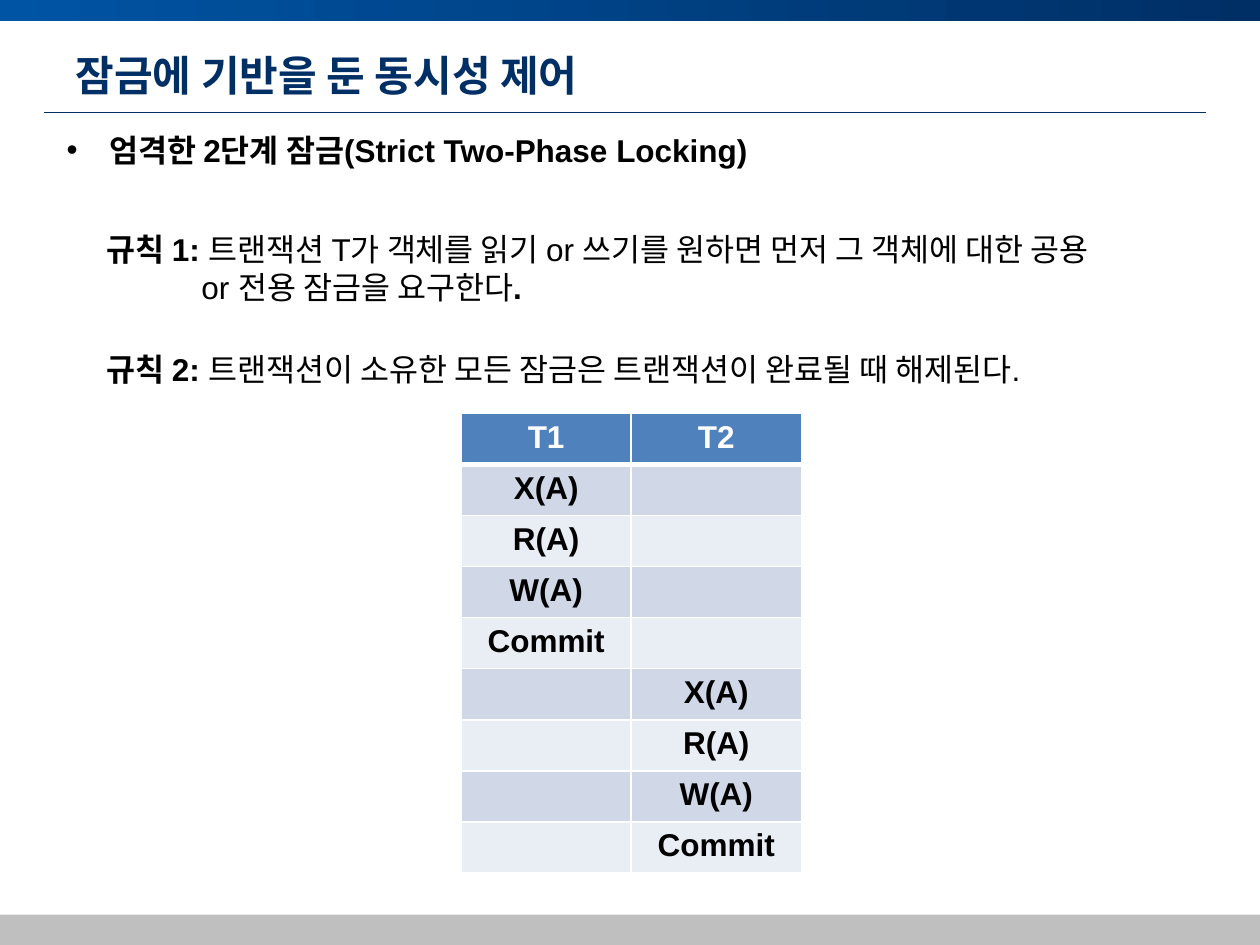
from dataclasses import dataclass
from pptx import Presentation
from pptx import util as u
from pptx.dml.color import RGBColor
from pptx.enum import shapes, text
from pptx.oxml import parse_xml
from pptx.oxml.ns import nsdecls, qn

TITLE = "잠금에 기반을 둔 동시성 제어"
TOPIC = "엄격한 2단계 잠금(Strict Two-Phase Locking)"
# Each rule: top, height, then (wording, bold) runs; \v breaks the line.
RULES = [
    (1.78, 0.71, [
        ("규칙 1: ", True),
        ("트랜잭션 T가 객체를 읽기 or 쓰기를 원하면 먼저 그 객체에 대한 공용\v"
         "or 전용 잠금을 요구한다", False),
        (".", True)]),
    (2.73, 0.4, [
        ("규칙 2: ", True),
        ("트랜잭션이 소유한 모든 잠금은 트랜잭션이 완료될 때 해제된다.", False)]),
]
STEPS = ["X(A)", "R(A)", "W(A)", "Commit"]
ROWS = ([("T1", "T2")] + [(step, "") for step in STEPS]
        + [("", step) for step in STEPS])


@dataclass(frozen=True)
class Theme:
    """Colours, fonts and type sizes."""
    navy: str = "002F65"
    blue: str = "0054A4"
    gray: str = "BFBFBF"
    black: str = "000000"
    white: str = "FFFFFF"
    head: str = "4F81BD"
    bands: tuple = ("D0D8E8", "E9EDF4")
    font: str = "Arial"
    korean: str = "Noto Sans CJK KR"
    big: int = 24
    body: int = 18


T = Theme()


def rgb(code):
    """Turn a hex code into a colour."""
    return RGBColor.from_string(code)


def style(run, color=T.black, bold=True, size=T.body, font=T.font):
    """Format one run."""
    run.font.name, run.font.size, run.font.bold = font, u.Pt(size), bold
    run.font.color.rgb = rgb(color)


def add_bar(slide, top, high):
    """Add a full-width bar and return its fill."""
    bar = slide.shapes.add_shape(shapes.MSO_SHAPE.RECTANGLE, 0,
                                 u.Inches(top), u.Inches(10), u.Inches(high))
    bar.shadow.inherit = False
    bar.line.fill.background()
    return bar.fill


def add_frame(slide):
    """Draw the top band, the title rule and the footer."""
    band = add_bar(slide, 0, 0.17)
    band.gradient()
    band.gradient_angle = 0
    for stop, code in zip(band.gradient_stops, (T.blue, T.navy)):
        stop.color.rgb = rgb(code)
    foot = add_bar(slide, 7.26, 0.25)
    foot.solid()
    foot.fore_color.rgb = rgb(T.gray)
    y = u.Inches(0.89)
    rule = slide.shapes.add_connector(shapes.MSO_CONNECTOR.STRAIGHT,
                                      u.Inches(0.35), y, u.Inches(9.57), y)
    rule.line.color.rgb, rule.line.width = rgb(T.navy), u.Pt(0.5)
    rule._element.spPr.append(parse_xml(f"<a:effectLst {nsdecls('a')}/>"))


def add_title(slide):
    """Place and format the title."""
    title = slide.shapes.title
    title.left, title.top = u.Inches(0.5), u.Inches(0.3)
    title.width, title.height = u.Inches(9), u.Inches(0.58)
    frame = title.text_frame
    frame.text = TITLE
    frame.vertical_anchor = text.MSO_ANCHOR.MIDDLE
    para = frame.paragraphs[0]
    para.alignment = text.PP_ALIGN.LEFT
    run = para.runs[0]
    style(run, T.navy, size=T.big, font=T.korean)
    run.font._element.get_or_add_latin().addnext(
        parse_xml(f'<a:ea {nsdecls("a")} typeface="{T.korean}"/>'))


def add_text(slide, box, runs, hang, bullet=None):
    """Add a one-paragraph text box with a hanging indent."""
    frame = slide.shapes.add_textbox(*map(u.Inches, box)).text_frame
    frame.word_wrap = True
    para = frame.paragraphs[0]
    para.text = "".join(words for words, _ in runs[:0])
    for words, bold in runs:
        for i, line in enumerate(words.split("\v")):
            if i:
                para.add_line_break()
            run = para.add_run()
            run.text = line
            style(run, bold=bold)
    props = para._p.get_or_add_pPr()
    props.set("marL", str(u.Inches(hang)))
    props.set("indent", str(-u.Inches(hang)))
    if bullet:
        props.append(parse_xml(f'<a:buFont {nsdecls("a")} typeface="{T.font}"/>'))
        props.append(parse_xml(f'<a:buChar {nsdecls("a")} char="{bullet}"/>'))


def edge(cell, side, points):
    """Give a cell one white border."""
    line = parse_xml(
        f'<a:{side} {nsdecls("a")} w="{u.Pt(points)}"><a:solidFill>'
        f'<a:srgbClr val="{T.white}"/></a:solidFill></a:{side}>')
    props = cell._tc.get_or_add_tcPr()
    props.insert(len(props.findall(qn("a:lnL")) + props.findall(qn("a:lnR"))
                     + props.findall(qn("a:lnT"))), line)


def add_schedule(slide):
    """Add the table of lock steps."""
    high = u.Inches(3.65)
    table = slide.shapes.add_table(len(ROWS), 2, u.Inches(3.66), u.Inches(3.28),
                                   u.Inches(2.7), high).table
    for r, row in enumerate(ROWS):
        table.rows[r].height = high // len(ROWS)
        for c, words in enumerate(row):
            cell = table.cell(r, c)
            cell.fill.solid()
            cell.fill.fore_color.rgb = rgb(T.bands[(r - 1) % 2] if r else T.head)
            for side in ("lnL", "lnR", "lnT", "lnB"):
                thick = (r, side) in ((0, "lnB"), (1, "lnT"))
                edge(cell, side, 3 if thick else 1)
            if words:
                cell.text_frame.text = words
                para = cell.text_frame.paragraphs[0]
                para.alignment = text.PP_ALIGN.CENTER
                style(para.runs[0], T.black if r else T.white)


def main():
    """Build and save the slide."""
    deck = Presentation()
    deck.slide_width, deck.slide_height = u.Inches(10), u.Inches(7.5)
    slide = deck.slides.add_slide(deck.slide_layouts[5])
    add_frame(slide)
    add_title(slide)
    add_text(slide, (0.43, 0.99, 6.06, 0.4), [(TOPIC, True)], 0.34, "•")
    for top, high, runs in RULES:
        add_text(slide, (0.75, top, 8.9, high), runs, 0.75)
    add_schedule(slide)
    deck.save("out.pptx")


main()
